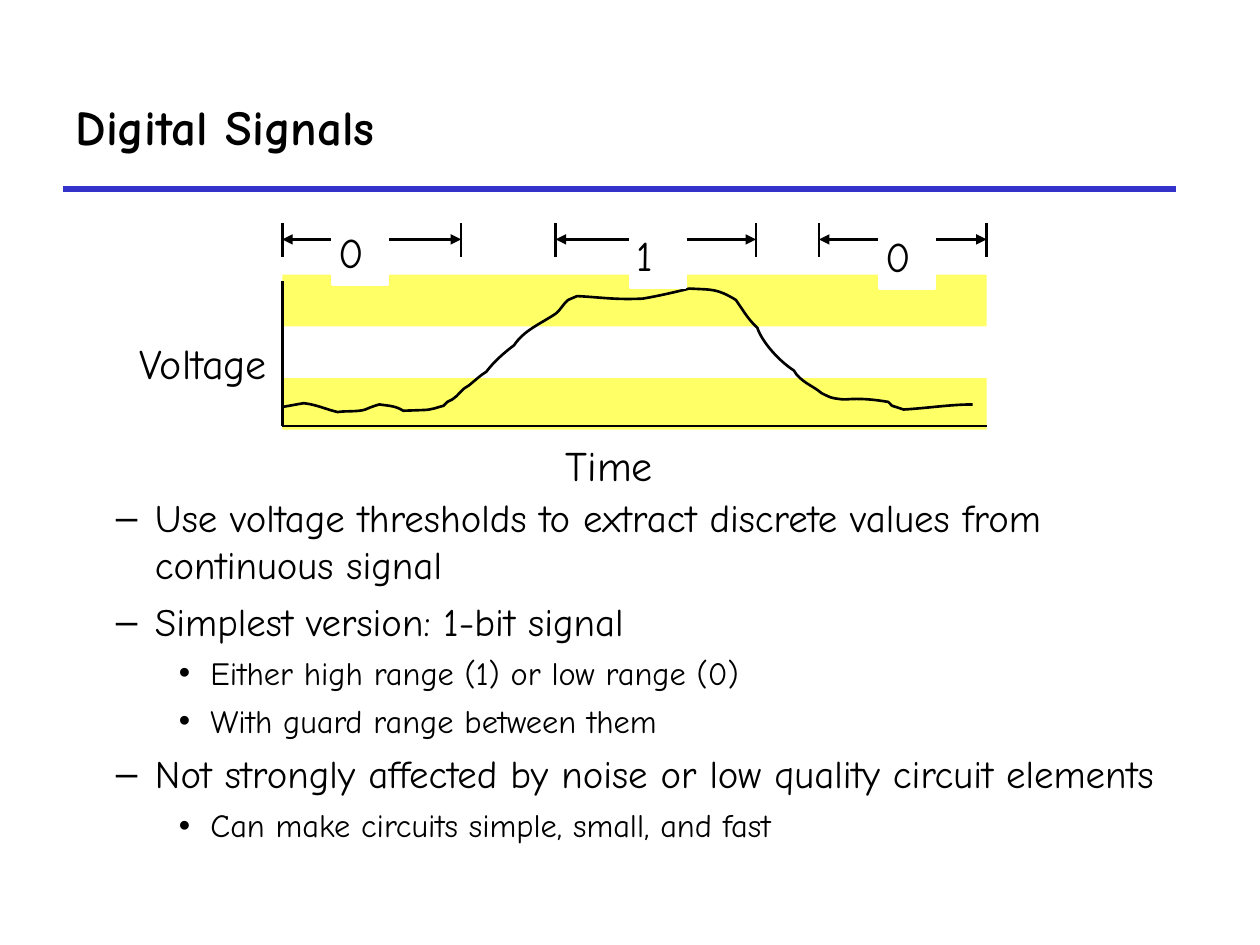
from dataclasses import dataclass

import pptx
import pptx.dml.color
import pptx.enum.shapes
import pptx.enum.text
import pptx.oxml.ns
import pptx.util
from pptx.util import Inches


@dataclass(frozen=True)
class Theme:
    font: str = "Comic Neue"
    ink: pptx.dml.color.RGBColor = pptx.dml.color.RGBColor(0, 0, 0)
    paper: pptx.dml.color.RGBColor = pptx.dml.color.RGBColor(255, 255, 255)
    rule: pptx.dml.color.RGBColor = pptx.dml.color.RGBColor(0x33, 0x33, 0xCC)
    band: pptx.dml.color.RGBColor = pptx.dml.color.RGBColor(0xFF, 0xFF, 0x66)
    title: float = 28
    label: float = 24
    item: float = 22.2
    detail: float = 18.5
    stroke: float = 1.5


theme = Theme()


def set_font(para, size, bold=False):
    para.font.name = theme.font
    para.font.size = pptx.util.Pt(size)
    para.font.bold = bold
    para.font.color.rgb = theme.ink


def draw_line(start, end, color=theme.ink, width=theme.stroke, arrows=False):
    line = page.shapes.add_connector(
        pptx.enum.shapes.MSO_CONNECTOR.STRAIGHT, *map(Inches, start + end))
    line.line.color.rgb = color
    line.line.width = pptx.util.Pt(width)
    if arrows:
        outline = line.line._get_or_add_ln()
        for end_name in ("a:headEnd", "a:tailEnd"):
            arrow = pptx.oxml.ns.qn(end_name)
            outline.append(outline.makeelement(arrow, {"type": "triangle"}))
    properties = line._element.spPr
    properties.append(properties.makeelement(pptx.oxml.ns.qn("a:effectLst"), {}))


deck = pptx.Presentation()
deck.slide_width, deck.slide_height = Inches(10), Inches(7.5)
page = deck.slides.add_slide(deck.slide_layouts[1])

# Title and rule
draw_line((0.5, 1.5), (9.33, 1.5), theme.rule, 3)
title = page.shapes.title
title.left, title.top, title.width, title.height = map(Inches, (0.5, 0.5, 8.83, 1))
title.text_frame.text = "Digital Signals"
title.text_frame.vertical_anchor = pptx.enum.text.MSO_ANCHOR.MIDDLE
title.text_frame.paragraphs[0].alignment = pptx.enum.text.PP_ALIGN.LEFT
set_font(title.text_frame.paragraphs[0], theme.title, True)

# Bullet list: level -> left margin, hanging indent, space before, size, bullet
levels = {
    1: (0.81, -0.31, 6, theme.item, "–"),
    2: (1.25, -0.25, 5, theme.detail, "•"),
}
items = [
    (1, "Use voltage thresholds to extract discrete values from continuous signal"),
    (1, "Simplest version: 1-bit signal"),
    (2, "Either high range (1) or low range (0)"),
    (2, "With guard range between them"),
    (1, "Not strongly affected by noise or low quality circuit elements"),
    (2, "Can make circuits simple, small, and fast"),
]
body = page.placeholders[1]
body.left, body.top, body.width, body.height = map(Inches, (0.32, 3.87, 9.08, 2.96))
body.text_frame.auto_size = pptx.enum.text.MSO_AUTO_SIZE.NONE
body.text_frame.text = "\n".join(text for level, text in items)
for para, (level, text) in zip(body.text_frame.paragraphs, items):
    margin, indent, space, size, mark = levels[level]
    para.level = level
    properties = para._p.get_or_add_pPr()
    properties.set("marL", str(Inches(margin)))
    properties.set("indent", str(Inches(indent)))
    bullet = pptx.oxml.ns.qn("a:buChar")
    properties.append(properties.makeelement(bullet, {"char": mark}))
    para.space_before = pptx.util.Pt(space)
    set_font(para, size)

# High and low voltage bands
left, right, base = 2.24, 7.83, 3.38
for top in (2.18, 3):
    band = page.shapes.add_shape(
        pptx.enum.shapes.MSO_SHAPE.RECTANGLE,
        *map(Inches, (left, top, right - left, 0.41)))
    band.shadow.inherit = False
    band.fill.solid()
    band.fill.fore_color.rgb = theme.band
    band.line.fill.background()

# Axes
draw_line((left, base), (left, 2.23))
draw_line((left, base), (right, base))
axis_labels = [
    ("Voltage", 1.03, 2.63, 1.14, pptx.enum.text.PP_ALIGN.RIGHT),
    ("Time", 4.44, 3.44, 0.8, pptx.enum.text.PP_ALIGN.LEFT),
]
labels = []
for text, x, y, width, alignment in axis_labels:
    box = page.shapes.add_textbox(*map(Inches, (x, y, width, 0.51)))
    box.text_frame.word_wrap = False
    labels.append((box, text, alignment))

# Signal: a start point, then two controls and an end point for each curve
signal = [
    (2.24, 3.23), (2.3, 3.22), (2.35, 3.21), (2.41, 3.2),
    (2.51, 3.21), (2.59, 3.25), (2.68, 3.27), (2.74, 3.26), (2.84, 3.27), (2.9, 3.25),
    (2.94, 3.23), (3.01, 3.21), (3.01, 3.21), (3.08, 3.22), (3.14, 3.22), (3.2, 3.26),
    (3.45, 3.25), (3.38, 3.26), (3.52, 3.22), (3.53, 3.21), (3.54, 3.2), (3.55, 3.19),
    (3.56, 3.18), (3.58, 3.18), (3.59, 3.17), (3.64, 3.14), (3.67, 3.08), (3.72, 3.06),
    (3.77, 3.02), (3.81, 2.98), (3.86, 2.95), (3.92, 2.87), (4, 2.8), (4.08, 2.74),
    (4.16, 2.62), (4.29, 2.57), (4.41, 2.49), (4.45, 2.46), (4.47, 2.41), (4.51, 2.38),
    (4.53, 2.37), (4.56, 2.36), (4.58, 2.35), (4.78, 2.36), (4.87, 2.38), (5.1, 2.37),
    (5.22, 2.35), (5.35, 2.32), (5.47, 2.29), (5.66, 2.3), (5.69, 2.29), (5.84, 2.38),
    (5.89, 2.45), (5.94, 2.54), (6.01, 2.6), (6.05, 2.72), (6.19, 2.87), (6.3, 2.94),
    (6.35, 3.03), (6.45, 3.06), (6.52, 3.12), (6.54, 3.12), (6.54, 3.14), (6.56, 3.14),
    (6.59, 3.16), (6.67, 3.17), (6.71, 3.17), (6.83, 3.16), (6.93, 3.17), (7.05, 3.19),
    (7.06, 3.2), (7.06, 3.21), (7.08, 3.22), (7.11, 3.23), (7.17, 3.25), (7.17, 3.25),
    (7.36, 3.24), (7.54, 3.21), (7.72, 3.21),
]
trace = [tuple(map(Inches, point)) for point in signal]
builder = page.shapes.build_freeform(*trace[0])
builder.add_line_segments(trace[1:], close=False)
wave = builder.convert_to_shape()
wave.shadow.inherit = False
wave.fill.background()
wave.line.color.rgb = theme.ink
wave.line.width = pptx.util.Pt(theme.stroke)

# Join every three line segments into one cubic curve
segments = list(wave._element.iter(pptx.oxml.ns.qn("a:lnTo")))
outline = segments[0].getparent()
for first in range(0, len(segments), 3):
    curve = outline.makeelement(pptx.oxml.ns.qn("a:cubicBezTo"), {})
    outline.append(curve)
    for segment in segments[first:first + 3]:
        curve.append(segment[0])
        outline.remove(segment)

# Bit intervals: value, start, end, label left, label top
bits = [("0", left, 3.66, 2.64, 1.75), ("1", 4.41, 6, 5, 1.77), ("0", 6.5, right, 6.98, 1.78)]
for value, start, end, x, y in bits:
    for edge in (start, end):
        draw_line((edge, 1.77), (edge, 2.04))
    draw_line((start, 1.9), (end, 1.9), arrows=True)
    box = page.shapes.add_shape(
        pptx.enum.shapes.MSO_SHAPE.RECTANGLE, *map(Inches, (x, y, 0.44, 0.51)))
    box.shadow.inherit = False
    box.fill.solid()
    box.fill.fore_color.rgb = theme.paper
    box.line.color.rgb = theme.paper
    box.line.width = pptx.util.Pt(theme.stroke)
    box.text_frame.word_wrap = True
    labels.append((box, value, pptx.enum.text.PP_ALIGN.LEFT))

for box, text, alignment in labels:
    frame = box.text_frame
    frame.margin_left = frame.margin_right = Inches(0.05)
    frame.margin_top = frame.margin_bottom = Inches(0.05)
    frame.vertical_anchor = pptx.enum.text.MSO_ANCHOR.TOP
    frame.auto_size = pptx.enum.text.MSO_AUTO_SIZE.SHAPE_TO_FIT_TEXT
    frame.text = text
    para = frame.paragraphs[0]
    para.alignment = alignment
    para.space_before = pptx.util.Pt(6)
    set_font(para, theme.label)

deck.save("out.pptx")
